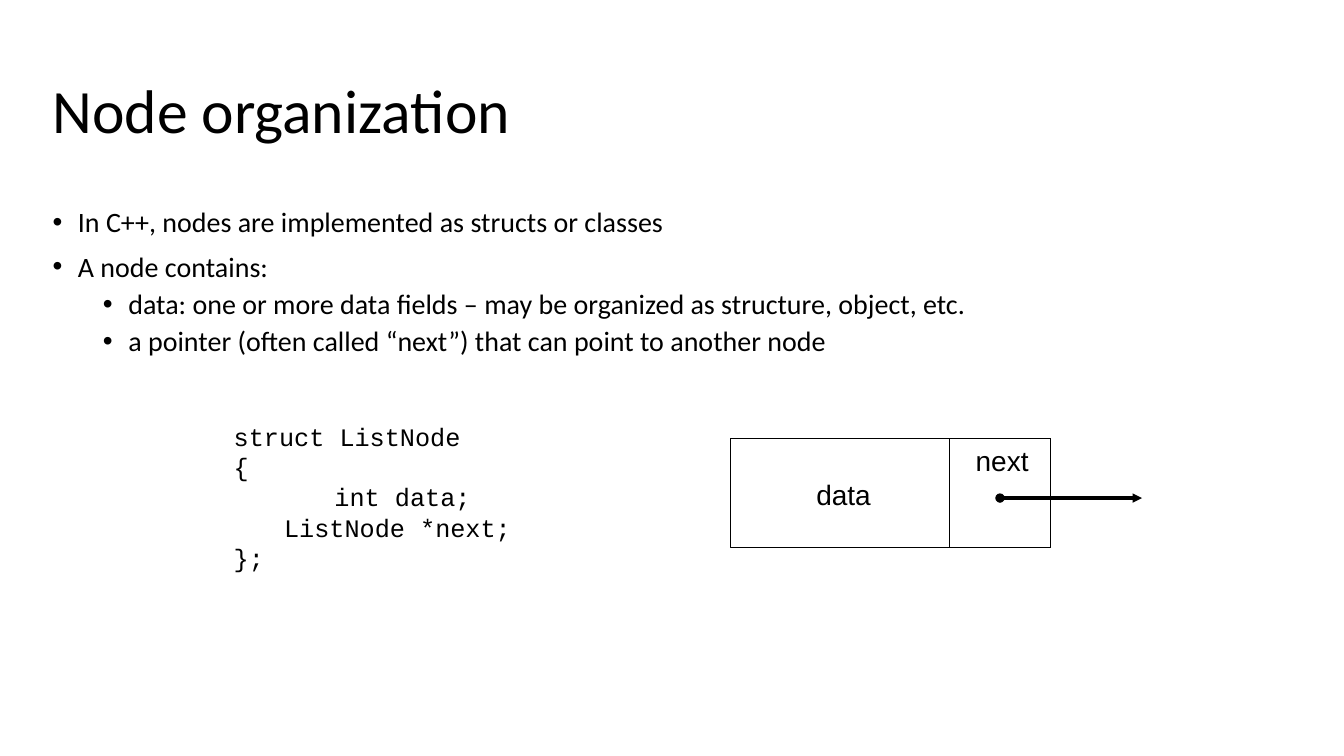
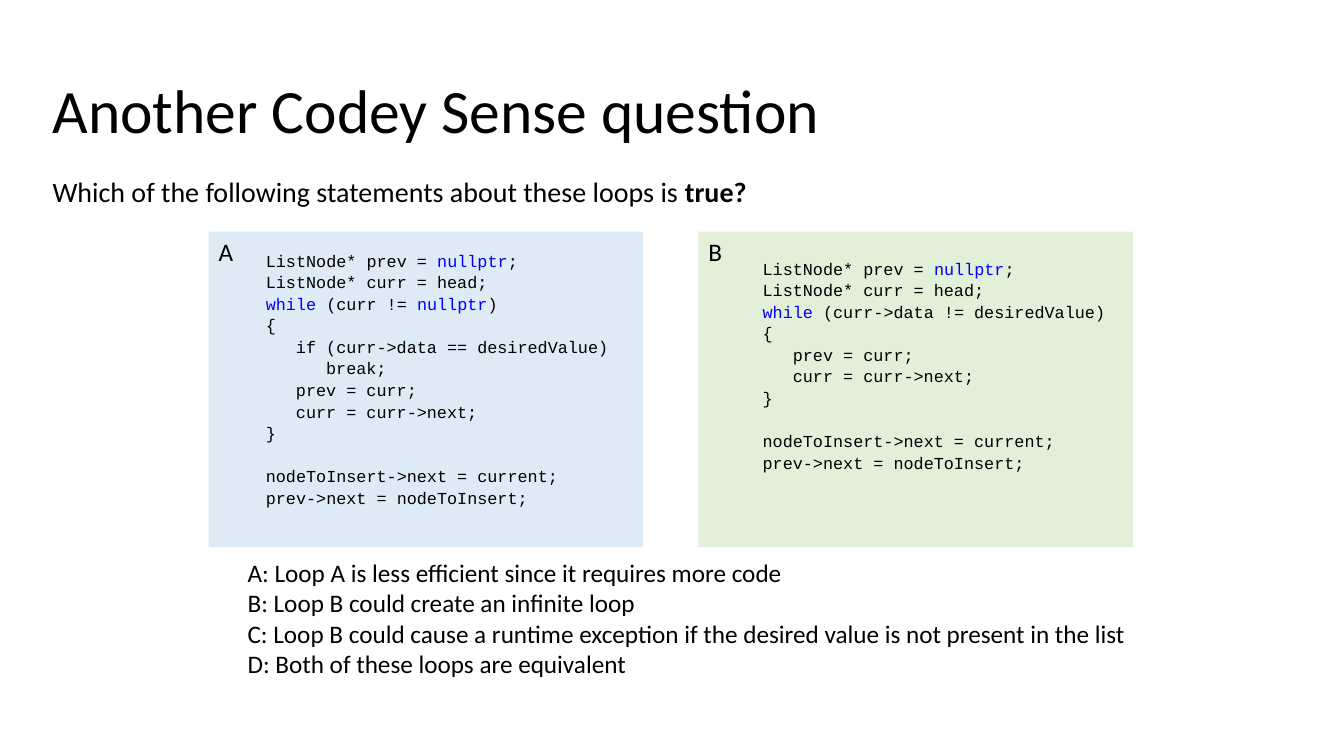
from pptx import Presentation
from pptx.dml.color import RGBColor
from pptx.enum.shapes import MSO_CONNECTOR as Connector, MSO_SHAPE as Preset
from pptx.enum.text import MSO_ANCHOR as Anchor, MSO_AUTO_SIZE as AutoSize, PP_ALIGN as Align
from pptx.oxml.ns import qn
from pptx.util import Cm, Pt
from lxml.etree import SubElement

COLORS = {
    "text": "000000",
    "keyword": "0000FF",
    "loop_a": "DEEBF7",
    "loop_b": "E2F0D9",
}
MARGIN, CONTENT_WIDTH, BODY_BOTTOM = 1.07, 31.75, 17.22
TITLE_BOX = (MARGIN, 1.02, CONTENT_WIDTH, 3.68)

TITLE_FONT = {"name": "Calibri", "size": Pt(44)}
BODY_FONT = {"name": "Calibri", "size": Pt(20)}
ANSWER_FONT = {"name": "Calibri", "size": Pt(18)}
LABEL_FONT = {"name": "Arial", "size": Pt(20)}
STRUCT_FONT = {"name": "Courier New", "size": Pt(18)}
LOOP_FONT = {"name": "Courier New", "size": Pt(12)}

LEFT = {"alignment": Align.LEFT}
CENTERED = {"alignment": Align.CENTER}
TITLE_FORMAT = {**LEFT, "line_spacing": 0.9}
BODY_FORMAT = {**TITLE_FORMAT, "space_before": Pt(10)}
SUBITEM_FORMAT = {**BODY_FORMAT, "space_before": Pt(5), "level": 1}
LOOP_FORMAT = {**LEFT, "line_spacing": 1.07}
LOOP_GAP_FORMAT = {**LOOP_FORMAT, "space_before": Pt(15.4)}
LOOP_INDENT = 0.76


def rgb(name):
    return RGBColor.from_string(COLORS[name])


def apply_format(target, values):
    for name, value in values.items():
        setattr(target, name, value)


def place(shape, box):
    apply_format(shape, dict(zip(("left", "top", "width", "height"), map(Cm, box))))


def write_paragraph(frame, text, font, layout, indent=None, bullet=None,
                    first=False, marked_color="text", marked_bold=None):
    """Pieces between bars are marked with their own colour or weight."""
    paragraph = frame.paragraphs[0] if first else frame.add_paragraph()
    apply_format(paragraph, layout)
    for index, piece in enumerate(text.split("|")):
        if piece:
            marked = index % 2 == 1
            run = paragraph.add_run()
            run.text = piece
            apply_format(run.font, font)
            run.font.color.rgb = rgb(marked_color if marked else "text")
            if marked:
                run.font.bold = marked_bold
    properties = paragraph._p.get_or_add_pPr()
    if indent is not None:
        properties.set("marL", str(Cm(indent)))
        properties.set("indent", str(Cm(-0.64) if bullet else 0))
    if bullet:
        SubElement(properties, qn("a:buFont")).set("typeface", "Arial")
        SubElement(properties, qn("a:buChar")).set("char", bullet)
    elif indent is not None:
        SubElement(properties, qn("a:buNone"))


def add_text_box(slide, box, wrap=True):
    text_box = slide.shapes.add_textbox(*map(Cm, box))
    text_box.text_frame.word_wrap = wrap
    return text_box.text_frame


def add_rectangle(slide, box, fill=None):
    rectangle = slide.shapes.add_shape(Preset.RECTANGLE, *map(Cm, box))
    rectangle.shadow.inherit = False
    if fill:
        rectangle.fill.solid()
        rectangle.fill.fore_color.rgb = rgb(fill)
        rectangle.line.fill.background()
    else:
        rectangle.fill.background()
        rectangle.line.color.rgb = rgb("text")
        rectangle.line.width = Pt(0.75)
    return rectangle


def add_titled_slide(presentation, title, body_top):
    slide = presentation.slides.add_slide(presentation.slide_layouts[1])
    heading, body = slide.placeholders
    place(heading, TITLE_BOX)
    place(body, (MARGIN, body_top, CONTENT_WIDTH, BODY_BOTTOM - body_top))
    for placeholder, anchor in ((heading, Anchor.MIDDLE), (body, Anchor.TOP)):
        apply_format(placeholder.text_frame, {
            "auto_size": AutoSize.NONE, "word_wrap": True, "vertical_anchor": anchor})
    write_paragraph(heading.text_frame, title, TITLE_FONT, TITLE_FORMAT, first=True)
    return slide, body.text_frame


def add_arrow(slide, left, top, length):
    arrow = slide.shapes.add_connector(
        Connector.STRAIGHT, Cm(left), Cm(top), Cm(left + length), Cm(top))
    arrow.line.color.rgb = rgb("text")
    arrow.line.width = Pt(2.25)
    outline = arrow.line._get_or_add_ln()
    for tag, kind in (("a:headEnd", "oval"), ("a:tailEnd", "triangle")):
        SubElement(outline, qn(tag)).set("type", kind)
    SubElement(arrow._element.spPr, qn("a:effectLst"))


def add_node_diagram(slide, box):
    left, top, width, height = box
    next_width = 2.54
    next_left = left + width - next_width
    add_rectangle(slide, box)
    add_rectangle(slide, (next_left, top, next_width, height))
    labels = (
        ("data", (left + 1.9, top + 0.86, 1.88, 1.09)),
        ("next", (next_left + 0.4, top, 1.85, 1.12)),
    )
    for label, label_box in labels:
        frame = add_text_box(slide, label_box, wrap=False)
        write_paragraph(frame, label, LABEL_FONT, CENTERED, first=True)
    add_arrow(slide, next_left + next_width / 2, top + 1.5, 3.58)


def add_struct_code(slide, box):
    frame = add_text_box(slide, box)
    lines = (
        ("struct ListNode", 1.27),
        ("{", 1.27),
        ("int data;", 3.81),
        ("ListNode *next;", 2.54),
        ("};", 1.27),
    )
    for index, (text, indent) in enumerate(lines):
        write_paragraph(frame, text, STRUCT_FONT, LEFT, indent, first=index == 0)


def add_loop_panel(slide, box, letter, fill, code_offset, loop_lines):
    left, top, width, height = box
    panel = add_rectangle(slide, box, fill)
    panel.text_frame.vertical_anchor = Anchor.TOP
    write_paragraph(panel.text_frame, letter, ANSWER_FONT, LEFT, first=True)
    across, down = code_offset
    frame = add_text_box(slide, (left + across, top + down, 9.37, height - 2 * down))
    opening = ((0, "ListNode* prev = |nullptr|;"), (0, "ListNode* curr = head;"))
    for index, (depth, text) in enumerate((*opening, *loop_lines)):
        write_paragraph(frame, text, LOOP_FONT, LOOP_FORMAT, depth * LOOP_INDENT,
                        first=index == 0, marked_color="keyword")
    write_paragraph(frame, "nodeToInsert->next = current;", LOOP_FONT, LOOP_GAP_FORMAT)
    write_paragraph(frame, "prev->next = nodeToInsert;", LOOP_FONT, LOOP_FORMAT)


def add_answers(slide, box):
    frame = add_text_box(slide, box)
    answers = (
        "A: Loop A is less efficient since it requires more code",
        "B: Loop B could create an infinite loop",
        "C: Loop B could cause a runtime exception if the desired value is not present in the list",
        "D: Both of these loops are equivalent",
    )
    for index, answer in enumerate(answers):
        write_paragraph(frame, answer, ANSWER_FONT, LEFT, first=index == 0)


def build_node_slide(presentation):
    slide, body = add_titled_slide(presentation, "Node organization", 5.13)
    items = (
        ("In C++, nodes are implemented as structs or classes", BODY_FORMAT, 0.64),
        ("A node contains:", BODY_FORMAT, 0.64),
        ("data: one or more data fields – may be organized as structure, object, etc.",
         SUBITEM_FORMAT, 1.91),
        ("a pointer (often called “next”) that can point to another node",
         SUBITEM_FORMAT, 1.91),
    )
    for index, (text, layout, indent) in enumerate(items):
        write_paragraph(body, text, BODY_FONT, layout, indent, "•", first=index == 0)
    add_node_diagram(slide, (18.42, 11.05, 8.05, 2.74))
    add_struct_code(slide, (4.37, 10.49, 12.47, 4.11))


def build_question_slide(presentation):
    slide, body = add_titled_slide(presentation, "Another Codey Sense question", 4.37)
    write_paragraph(body, "Which of the following statements about these loops is |true?|",
                    BODY_FONT, BODY_FORMAT, 0, first=True, marked_bold=True)
    advance = ((1, "prev = curr;"), (1, "curr = curr->next;"), (0, "}"))
    loop_a = (
        (0, "|while| (curr != |nullptr|)"),
        (0, "{"),
        (1, "if (curr->data == desiredValue)"),
        (2, "break;"),
        *advance,
    )
    loop_b = ((0, "|while| (curr->data != desiredValue)"), (0, "{"), *advance)
    panels = (
        ("A", "loop_a", (1.19, 0.31), loop_a),
        ("B", "loop_b", (1.37, 0.51), loop_b),
    )
    for index, panel in enumerate(panels):
        add_loop_panel(slide, (5.26 + index * 12.34, 5.84, 10.95, 7.95), *panel)
    add_answers(slide, (5.99, 13.92, 23.42, 4.11))


presentation = Presentation()
presentation.slide_width = Cm(33.87)
presentation.slide_height = Cm(19.05)
build_node_slide(presentation)
build_question_slide(presentation)
presentation.save("out.pptx")
